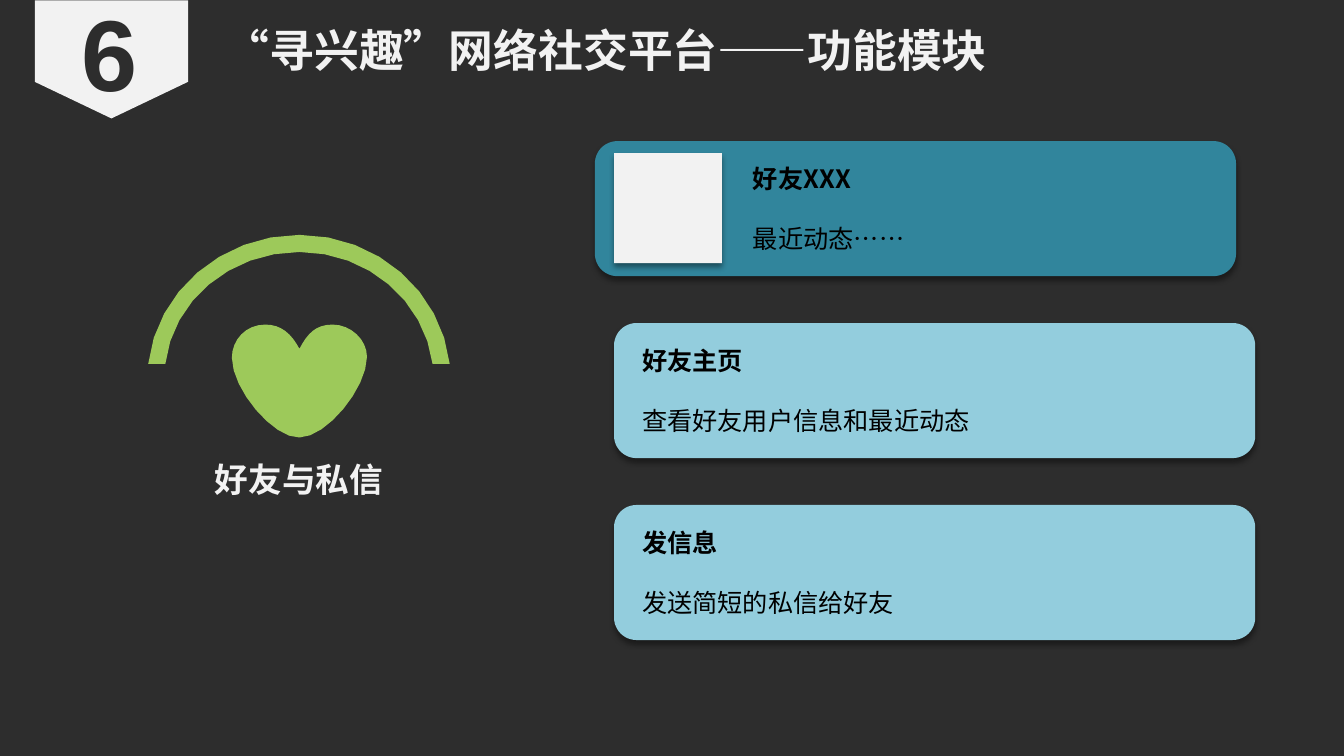
from dataclasses import dataclass

from lxml.etree import SubElement
from pptx import Presentation
from pptx.dml.color import RGBColor
from pptx.enum.shapes import MSO_SHAPE
from pptx.enum.text import PP_ALIGN
from pptx.oxml.ns import qn
from pptx.util import Inches, Pt


@dataclass(frozen=True)
class Theme:
    dark: str = "2D2D2D"
    light: str = "F2F2F2"
    green: str = "9DC95A"
    teal: str = "31859C"
    sky: str = "93CDDD"
    black: str = "000000"
    cjk_font: str = "Noto Sans CJK SC"
    number_font: str = "Arial"
    number_size: int = 72
    title_size: int = 32
    label_size: int = 24
    body_size: int = 18
    body_gap: float = 21.3


theme = Theme()
deck = Presentation()
deck.slide_width, deck.slide_height = Inches(13.33), Inches(7.5)
page = deck.slides.add_slide(deck.slide_layouts[6])
page.background.fill.solid()
page.background.fill.fore_color.rgb = RGBColor.from_string(theme.dark)


def paint(shape, color, shadow=False):
    """Fill a shape without an outline, with a soft drop shadow if asked."""
    shape.fill.solid()
    shape.fill.fore_color.rgb = RGBColor.from_string(color)
    shape.line.fill.background()
    shape.shadow.inherit = False
    if shadow:
        effects = shape._element.spPr.find(qn("a:effectLst"))
        outer = SubElement(effects, qn("a:outerShdw"), blurRad=str(Pt(4)),
                           dist=str(Pt(3)), dir="5400000", rotWithShape="0")
        tint = SubElement(outer, qn("a:srgbClr"), val=theme.black)
        SubElement(tint, qn("a:alpha"), val="40000")


def add_text(lines, left, top, width, height, *, size, color,
             font=theme.cjk_font, align=PP_ALIGN.LEFT, wrap=True, gap=0):
    """Add a text box whose first line is bold and the others regular."""
    box = page.shapes.add_textbox(Inches(left), Inches(top), Inches(width), Inches(height))
    frame = box.text_frame
    frame.word_wrap = wrap
    for index, line in enumerate(lines):
        para = frame.paragraphs[0] if index == 0 else frame.add_paragraph()
        para.alignment = align
        para.space_before = Pt(gap if index else 0)
        span = para.add_run()
        span.text = line
        span.font.size = Pt(size)
        span.font.bold = index == 0
        span.font.name = font
        span.font.color.rgb = RGBColor.from_string(color)
        SubElement(span._r.get_or_add_rPr(), qn("a:ea"), typeface=font)


# Arch and heart: a start point, then cubic curves (three points) or lines (one)
arch = [(1.47, 3.61),
        [(1.64, 3.61)],
        [(1.71, 2.99), (2.28, 2.5), (2.97, 2.5)],
        [(3.65, 2.5), (4.21, 2.99), (4.29, 3.61)],
        [(4.46, 3.61)],
        [(4.38, 2.9), (3.75, 2.33), (2.97, 2.33)],
        [(2.19, 2.33), (1.55, 2.9), (1.47, 3.61)]]
heart = [(2.97, 3.46),
         [(2.89, 3.31), (2.79, 3.22), (2.63, 3.22)],
         [(2.44, 3.22), (2.3, 3.37), (2.3, 3.55)],
         [(2.3, 3.86), (2.71, 4.35), (2.97, 4.34)],
         [(3.24, 4.34), (3.64, 3.85), (3.64, 3.54)],
         [(3.64, 3.37), (3.48, 3.22), (3.3, 3.22)],
         [(3.13, 3.22), (3.05, 3.31), (2.97, 3.46)]]
steps = 8
for start, *segments in (arch, heart):
    builder = page.shapes.build_freeform(Inches(start[0]), Inches(start[1]))
    here, outline = start, []
    for segment in segments:
        end = segment[-1]
        if len(segment) == 1:
            outline.append(end)
        else:
            for step in range(1, steps + 1):
                t = step / steps
                u = 1 - t
                outline.append([u**3 * a + 3 * u**2 * t * b + 3 * u * t**2 * c + t**3 * d
                                for a, b, c, d in zip(here, *segment)])
        here = end
    builder.add_line_segments([(Inches(x), Inches(y)) for x, y in outline[:-1]], close=True)
    paint(builder.convert_to_shape(), theme.green)

add_text(["好友与私信"], 2.03, 4.5, 1.87, 0.5, size=theme.label_size,
         color=theme.light, align=PP_ALIGN.CENTER, wrap=False)

# Header
ribbon = page.shapes.add_shape(MSO_SHAPE.PENTAGON, Inches(0.52), Inches(-0.17),
                               Inches(1.17), Inches(1.52))
ribbon.rotation = 90
ribbon.adjustments[0] = 0.31
paint(ribbon, theme.light)
add_text(["“寻兴趣”网络社交平台——功能模块"], 2.13, 0.18, 10.15, 0.64,
         size=theme.title_size, color=theme.light)

# Cards: left edge, text left edge, colour, heading, description
cards = [(5.9, 7.37, theme.teal, "好友XXX", "最近动态……"),
         (6.09, 6.27, theme.sky, "好友主页", "查看好友用户信息和最近动态"),
         (6.09, 6.27, theme.sky, "发信息", "发送简短的私信给好友")]
first_top, pitch = 1.4, 1.805
for row, (left, text_left, color, heading, description) in enumerate(cards):
    top = first_top + row * pitch
    card = page.shapes.add_shape(MSO_SHAPE.ROUNDED_RECTANGLE, Inches(left), Inches(top),
                                 Inches(6.36), Inches(1.34))
    paint(card, color, shadow=True)
    add_text([heading, description], text_left, top + 0.17, 4.5, 1.01,
             size=theme.body_size, color=theme.black, gap=theme.body_gap)

avatar = page.shapes.add_shape(MSO_SHAPE.RECTANGLE, Inches(6.09), Inches(1.52),
                               Inches(1.07), Inches(1.09))
paint(avatar, theme.light, shadow=True)
add_text(["6"], 0.71, -0.14, 0.76, 1.31, size=theme.number_size, color=theme.dark,
         font=theme.number_font, align=PP_ALIGN.CENTER, wrap=False)

deck.save("out.pptx")
